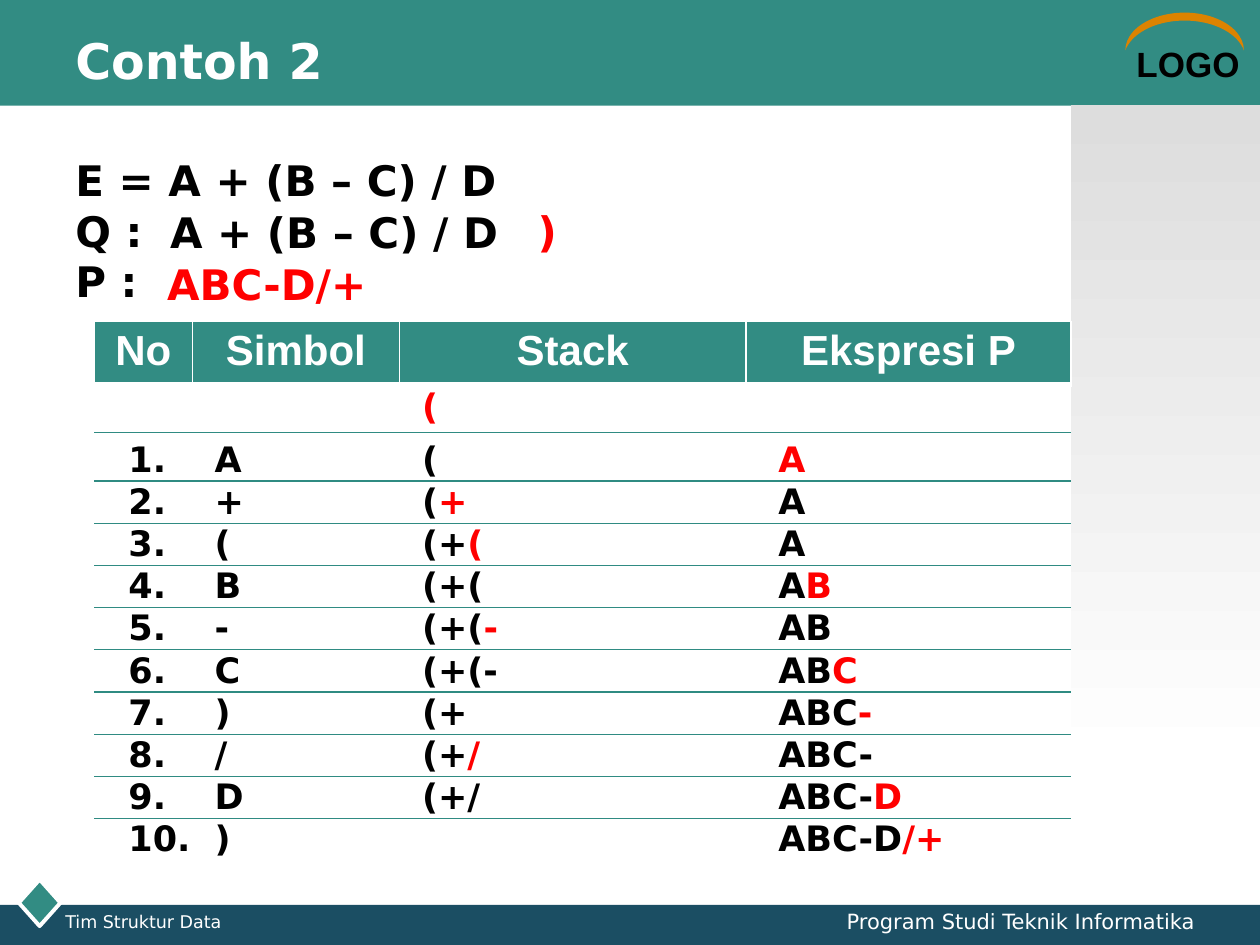
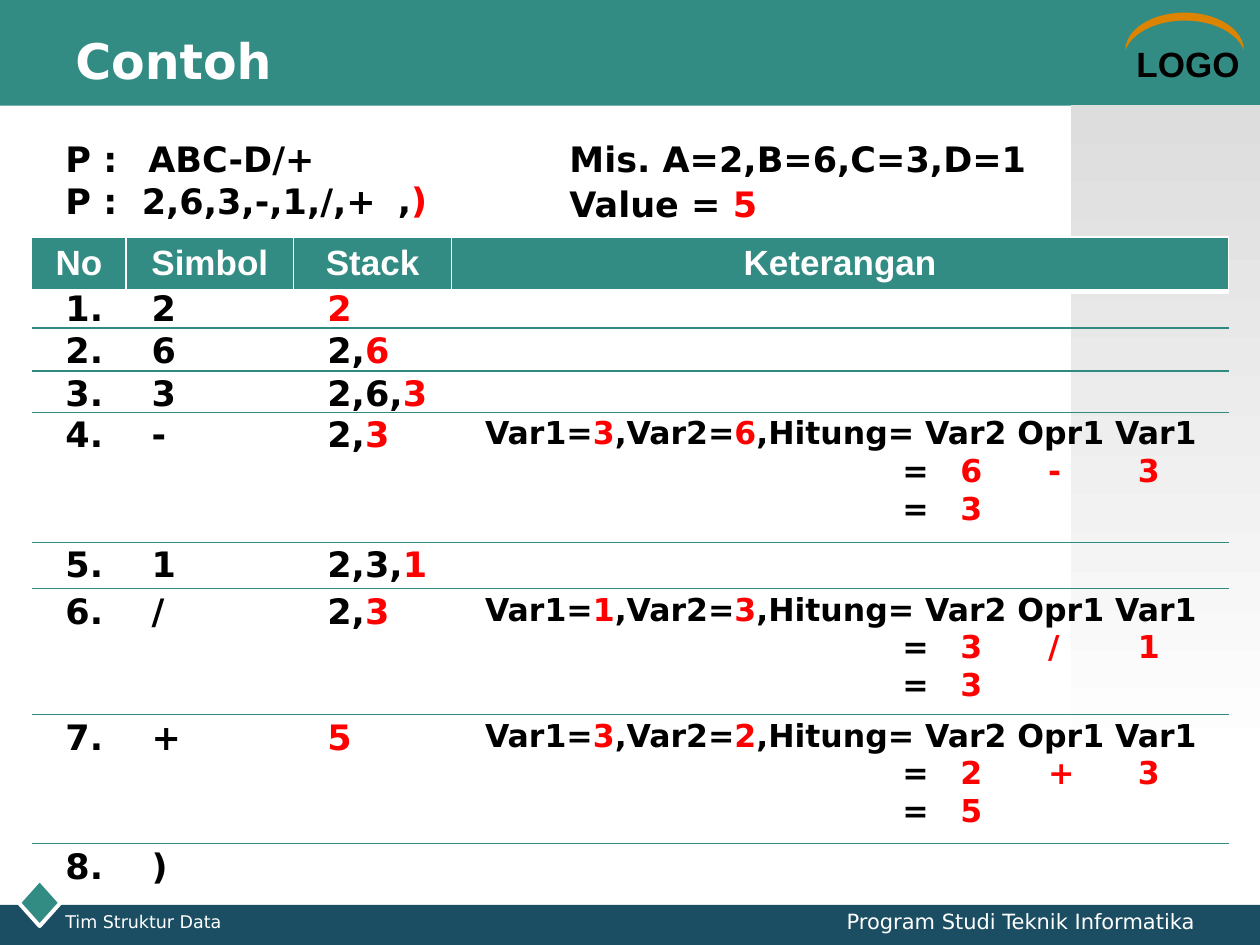
from lxml import etree
from pptx import Presentation
from pptx.dml.color import RGBColor
from pptx.enum.shapes import MSO_CONNECTOR, MSO_SHAPE
from pptx.enum.text import MSO_ANCHOR, PP_ALIGN
from pptx.oxml.ns import qn
from pptx.util import Cm, Pt

RECT, DIAMOND, MOON = MSO_SHAPE.RECTANGLE, MSO_SHAPE.DIAMOND, MSO_SHAPE.MOON
STRAIGHT = MSO_CONNECTOR.STRAIGHT
TOP, MIDDLE = MSO_ANCHOR.TOP, MSO_ANCHOR.MIDDLE
LEFT, CENTER, RIGHT = PP_ALIGN.LEFT, PP_ALIGN.CENTER, PP_ALIGN.RIGHT

COLORS = {
    "teal": "328C83", "navy": "1B4E63", "rule": "2F8B82", "orange": "DC8300",
    "grey": "DDDDDD", "white": "FFFFFF", "black": "000000", "red": "FF0000",
}
SANS, ARIAL = "DejaVu Sans", "Arial"

# Shared text formats
TITLE = {"size": Pt(28), "name": SANS, "bold": True}
LARGE = {"size": Pt(24), "name": SANS, "bold": True}
NORMAL = {"size": Pt(20), "name": SANS, "bold": True}
SMALL = {"size": Pt(18), "name": SANS, "bold": True}
LOGO = {"size": Pt(20), "name": ARIAL, "bold": True}
TEAM = {"size": Pt(10), "name": SANS, "bold": False}
PROGRAM = {"size": Pt(12), "name": SANS, "bold": False}

# Tab stops in cm: symbol after its number, expression after "P :", calculation parts
SYMBOL_TABS, EXPRESSION_TABS = (1.74,), (1.54,)
CALC_TABS = (8.41, 9.58, 11.35, 13.16)
ROW_H, LINE_GAP = 1.12, 0.11


def calculation(var1, var2, operator, result):
    return [f"Var1=~{var1}~,Var2=~{var2}~,Hitung= Var2 Opr1 Var1",
            f"\t=\t~{var2}\t{operator}\t{var1}",
            f"\t=\t~{result}"]


# Content: a tilde switches between black and red; lengths are in cm
steps_tops = [8.69 + 0.85 * i for i in range(10)]
value_tops = [5.66, 6.5, 7.37, 8.2, 10.82, 11.76, 14.3, 16.89]

SLIDES = [
    {
        "title": "Contoh 2",
        "format": LARGE,
        "body": (1.27, 3.0, ["E = A + (B – C) / D", "Q :", "P :"]),
        "notes": [
            (3.18, 4.04, "A + (B – C) / D"),
            (10.59, 4.01, "~)"),
            (3.12, 5.08, "~ABC-D/+"),
        ],
        "table": (1.9, 6.48, 1.12),
        "header": [("No", 1.98), ("Simbol", 4.17), ("Stack", 6.99), ("Ekspresi P", 6.55)],
        "columns": [(2.34, 5.51), (8.26, 3.4), (15.44, 4.3)],
        "tops": [7.62] + steps_tops,
        "lines": [8.72] + [top + 0.16 for top in steps_tops[1:]],
        "rows": [
            ("", "~(", ""),
            ("1.\tA", "(", "~A"),
            ("2.\t+", "(~+", "A"),
            ("3.\t(", "(+~(", "A"),
            ("4.\tB", "(+(", "A~B"),
            ("5.\t-", "(+(~-", "AB"),
            ("6.\tC", "(+(-", "AB~C"),
            ("7.\t)", "(+", "ABC~-"),
            ("8.\t/", "(+~/", "ABC-"),
            ("9.\tD", "(+/", "ABC-~D"),
            ("10.\t)", "", "ABC-D~/+"),
        ],
    },
    {
        "title": "Contoh",
        "format": NORMAL,
        "body": (1.07, 2.64, ["P :", "P :\t2,6,3,-,1,/,+"]),
        "notes": [
            (2.74, 2.64, "ABC-D/+"),
            (11.23, 2.64, "Mis. A=2,B=6,C=3,D=1"),
            (7.77, 3.48, ",~)"),
            (11.23, 3.56, "Value = ~5"),
        ],
        "table": (0.64, 4.78, 1.07),
        "header": [("No", 1.9), ("Simbol", 3.38), ("Stack", 3.18), ("Keterangan", 15.67)],
        "columns": [(1.07, 5.51), (6.35, 3.4), (9.53, 15.04)],
        "tops": value_tops,
        "lines": [top + LINE_GAP for top in value_tops[1:]],
        "rows": [
            ("1.\t2", "~2", ""),
            ("2.\t6", "2,~6", ""),
            ("3.\t3", "2,6,~3", ""),
            ("4.\t-", "2,~3", calculation(3, 6, "-", 3)),
            ("5.\t1", "2,3,~1", ""),
            ("6.\t/", "2,~3", calculation(1, 3, "/", 3)),
            ("7.\t+", "~5", calculation(3, 2, "+", 5)),
            ("8.\t)", "", ""),
        ],
    },
]


def rgb(name):
    return RGBColor.from_string(COLORS[name])


def write(p, text, fmt, color="black", align=LEFT, tabs=()):
    p.alignment = align
    if tabs:
        tab_list = etree.SubElement(p._p.get_or_add_pPr(), qn("a:tabLst"))
        for pos in tabs:
            etree.SubElement(tab_list, qn("a:tab"), pos=str(Cm(pos)), algn="l")
    for i, part in enumerate(text.split("~")):
        if part:
            r = p.add_run()
            r.text = part
            for key, value in fmt.items():
                setattr(r.font, key, value)
            r.font.color.rgb = rgb("red" if i % 2 else color)


def add_text(s, box, lines, fmt, color="black", align=LEFT, anchor=TOP, tabs=()):
    tf = s.shapes.add_textbox(*map(Cm, box)).text_frame
    tf.word_wrap = True
    tf.vertical_anchor = anchor
    for i, line in enumerate(lines):
        p = tf.add_paragraph() if i else tf.paragraphs[0]
        write(p, line, fmt, color, align, tabs)


def add_box(s, kind, box, fill):
    sp = s.shapes.add_shape(kind, *map(Cm, box))
    sp.shadow.inherit = False
    sp.fill.solid()
    sp.fill.fore_color.rgb = rgb(fill)
    sp.line.fill.background()
    return sp


def add_frame(s, title):
    # Bands and diamond
    add_box(s, RECT, (0, 0, 25.4, 2.13), "teal")
    add_box(s, RECT, (0, 18.24, 25.4, 0.81), "navy")
    diamond = add_box(s, DIAMOND, (0.38, 17.73, 0.84, 0.94), "teal")
    diamond.line.color.rgb = rgb("white")
    diamond.line.width = Pt(2.25)
    # Logo placeholder
    add_text(s, (22.66, 0.74, 2.74, 1.09), ["LOGO"], LOGO)
    arc = add_box(s, MOON, (23.5, -0.56, 0.76, 2.39), "orange")
    arc.rotation = 90
    arc.adjustments[0] = 0.21
    # Fading side panel
    panel = add_box(s, RECT, (21.59, 2.11, 3.81, 13.34), "grey")
    panel.fill.gradient()
    panel.fill.gradient_angle = 270
    for stop, color, pos in zip(panel.fill.gradient_stops, ("grey", "white"), (0, 1)):
        stop.color.rgb = rgb(color)
        stop.position = pos
    # Title and footers
    add_text(s, (1.27, 0.43, 22.86, 1.57), [title], TITLE, "white", anchor=MIDDLE)
    add_text(s, (1.07, 18.24, 6.78, 0.58), ["Tim Struktur Data"], TEAM, "white")
    add_text(s, (16.08, 18.19, 8.26, 0.86), ["Program Studi Teknik Informatika"],
             PROGRAM, "white", RIGHT)


def add_header(s, x, y, height, header, size):
    width = sum(w for _, w in header)
    table = s.shapes.add_table(1, len(header), Cm(x), Cm(y), Cm(width), Cm(height)).table
    for i, (label, w) in enumerate(header):
        table.columns[i].width = Cm(w)
        cell = table.cell(0, i)
        cell.fill.solid()
        cell.fill.fore_color.rgb = rgb("teal")
        write(cell.text_frame.paragraphs[0], label, {**LOGO, "size": size}, "white", CENTER)
        tc_pr = cell._tc.get_or_add_tcPr()
        for n, (side, pt) in enumerate((("L", 1), ("R", 1), ("T", 1), ("B", 3))):
            ln = etree.Element(qn(f"a:ln{side}"), w=str(Pt(pt)))
            fill = etree.SubElement(ln, qn("a:solidFill"))
            etree.SubElement(fill, qn("a:srgbClr"), val=COLORS["white"])
            tc_pr.insert(n, ln)
    return x + width


def add_rule(s, left, right, y):
    line = s.shapes.add_connector(STRAIGHT, Cm(left), Cm(y), Cm(right), Cm(y))
    line.line.color.rgb = rgb("rule")
    line.line.width = Pt(0.75)
    etree.SubElement(line._element.spPr, qn("a:effectLst"))


def build(prs, data):
    s = prs.slides.add_slide(prs.slide_layouts[6])
    add_frame(s, data["title"])

    # Expression and its values
    x, y, lines = data["body"]
    add_text(s, (x, y, 22.86, 4), lines, data["format"], tabs=EXPRESSION_TABS)
    for x, y, note in data["notes"]:
        add_text(s, (x, y, 12.5, 1.27), [note], data["format"])

    # Header and step rows
    x, y, height = data["table"]
    right = add_header(s, x, y, height, data["header"], data["format"]["size"])
    for top, row in zip(data["tops"], data["rows"]):
        for i, ((left, width), text) in enumerate(zip(data["columns"], row)):
            if isinstance(text, list):
                add_text(s, (left, top, width, 2.57), text, SMALL, tabs=CALC_TABS)
            elif text:
                add_text(s, (left, top, width, ROW_H), [text], NORMAL,
                         tabs=() if i else SYMBOL_TABS)
    for line_y in data["lines"]:
        add_rule(s, x, right, line_y)


def main():
    prs = Presentation()
    prs.slide_width, prs.slide_height = Cm(25.4), Cm(19.05)
    for data in SLIDES:
        build(prs, data)
    prs.save("out.pptx")


if __name__ == "__main__":
    main()
